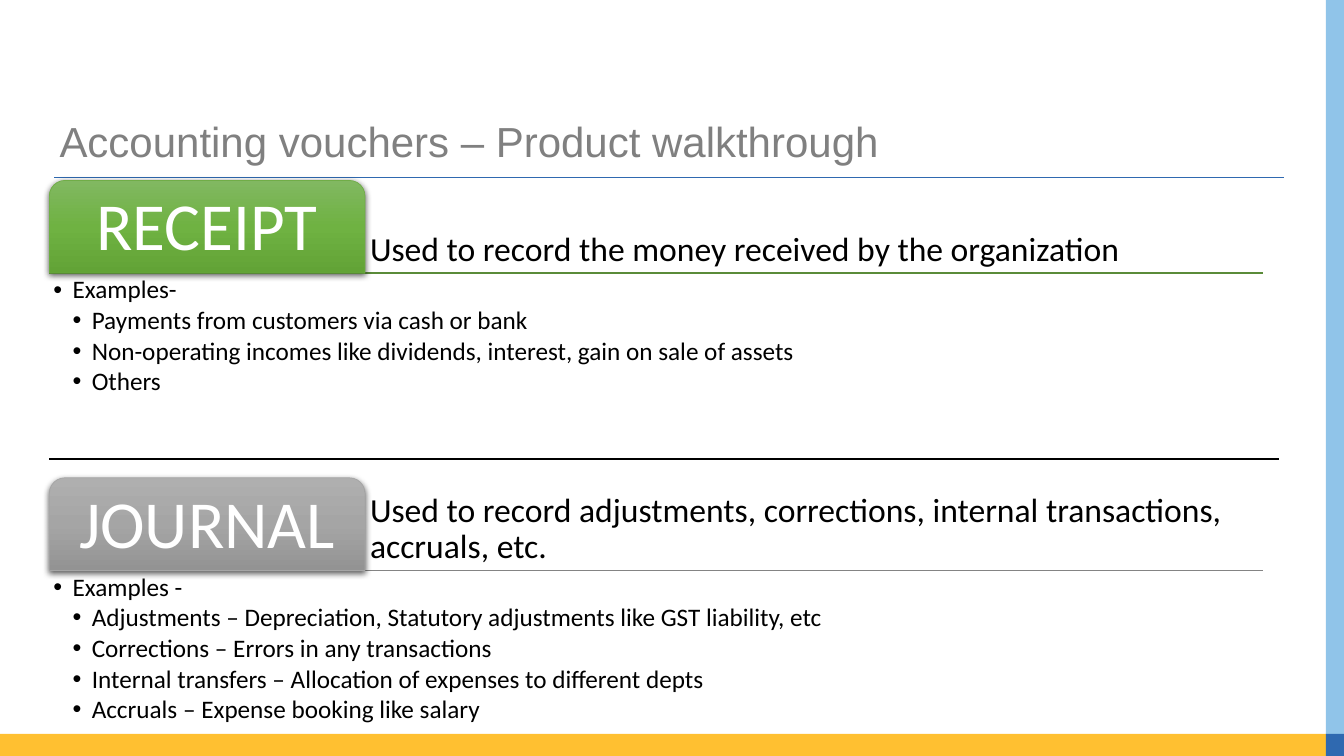
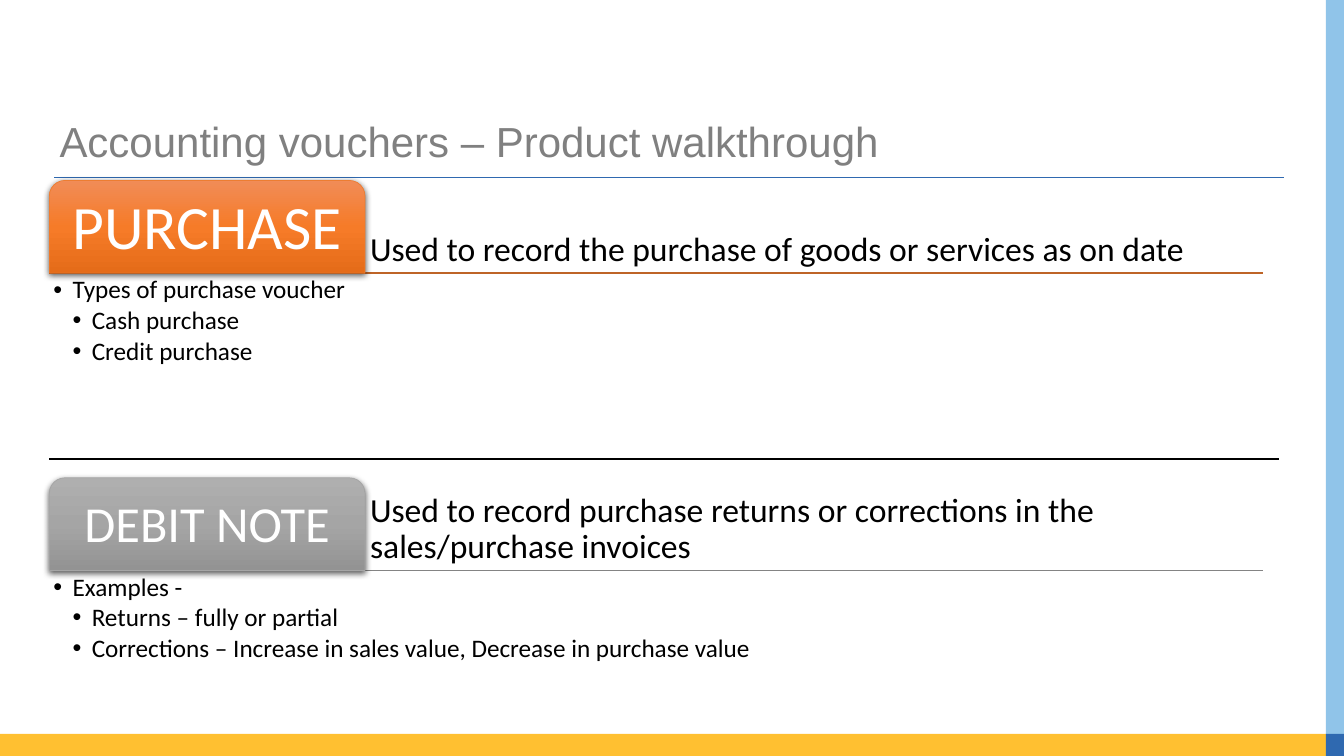
import copy

import pptx
import pptx.dml.color
import pptx.enum.shapes
import pptx.enum.text
import pptx.oxml
import pptx.oxml.ns
import pptx.util
from pptx.util import Inches

Pt = pptx.util.Pt
ANCHOR = pptx.enum.text.MSO_ANCHOR
ALIGN = pptx.enum.text.PP_ALIGN
SHAPE = pptx.enum.shapes.MSO_SHAPE

TITLE = "Accounting vouchers – Product walkthrough"
SLIDES = [
    [
        {"name": "RECEIPT", "size": 48, "theme": "green",
         "use": "Used to record the money received by the organization",
         "heading": "Examples-",
         "items": ["Payments from customers via cash or bank",
                   "Non-operating incomes like dividends, interest, gain on sale of assets",
                   "Others"]},
        {"name": "JOURNAL", "size": 48, "theme": "gray",
         "use": "Used to record adjustments, corrections, internal transactions, accruals, etc.",
         "heading": "Examples -",
         "items": ["Adjustments – Depreciation, Statutory adjustments like GST liability, etc",
                   "Corrections – Errors in any transactions",
                   "Internal transfers – Allocation of expenses to different depts",
                   "Accruals – Expense booking like salary"]},
    ],
    [
        {"name": "PURCHASE", "size": 44, "theme": "orange",
         "use": "Used to record the purchase of goods or services as on date",
         "heading": "Types of purchase voucher",
         "items": ["Cash purchase", "Credit purchase"]},
        {"name": "DEBIT NOTE", "size": 36, "theme": "gray",
         "use": "Used to record purchase returns or corrections in the sales/purchase invoices",
         "heading": "Examples -",
         "items": ["Returns – fully or partial",
                   "Corrections – Increase in sales value, Decrease in purchase value"]},
    ],
]

COLORS = {"title": "808080", "text": "000000", "tab_text": "FFFFFF", "blue": "2F69B0",
          "yellow": "FFC031", "sky": "90C4E9", "divider": "000000"}
THEMES = {
    "green": {"stops": ["81B861", "6FB242", "62A336"], "edge": "70AD47", "rule": "5A8B39"},
    "orange": {"stops": ["F18C57", "F67B28", "E56C19"], "edge": "ED7D31", "rule": "BE6427"},
    "gray": {"stops": ["AFAFAF", "A5A5A5", "939393"], "edge": "A5A5A5", "rule": "848484"},
}

WIDTH, HEIGHT = 13.33, 7.5
LEFT, CONTENT_WIDTH = 0.49, 12.04
TAB_WIDTH, TAB_HEIGHT = 3.13, 0.92
SECTION_TOPS = [1.79, 4.74]
LIST_HEIGHTS = [1.59, 1.84]
BAND_TOP, BAND_LEFT = 7.28, 13.15
BANDS = [
    ("yellow", 0, BAND_TOP, BAND_LEFT, HEIGHT - BAND_TOP),
    ("sky", BAND_LEFT, 0, WIDTH - BAND_LEFT, BAND_TOP),
    ("blue", BAND_LEFT, BAND_TOP, WIDTH - BAND_LEFT, HEIGHT - BAND_TOP),
]
SHADOW = (
    f'<a:outerShdw {pptx.oxml.ns.nsdecls("a")} blurRad="57150" dist="19050" '
    'dir="5400000" algn="ctr" rotWithShape="0">'
    '<a:srgbClr val="000000"><a:alpha val="63000"/></a:srgbClr></a:outerShdw>'
)


def rgb(value):
    return pptx.dml.color.RGBColor.from_string(value)


def place(shape, left, top, width, height):
    shape.left, shape.top = Inches(left), Inches(top)
    shape.width, shape.height = Inches(width), Inches(height)


def set_frame(frame, inset, anchor):
    frame.word_wrap = True
    frame.auto_size = pptx.enum.text.MSO_AUTO_SIZE.NONE
    frame.vertical_anchor = anchor
    frame.margin_left = frame.margin_right = Inches(inset)
    frame.margin_top = frame.margin_bottom = Inches(inset)


def write(paragraph, text, size, color, font="Calibri", align=ALIGN.LEFT):
    paragraph.alignment = align
    paragraph.line_spacing = 0.9
    paragraph.space_before = Pt(0)
    run = paragraph.add_run()
    run.text = text
    run.font.name = font
    run.font.size = Pt(size)
    run.font.color.rgb = rgb(color)


def add_rule(slide, left, right, y, color, weight):
    rule = slide.shapes.add_connector(
        pptx.enum.shapes.MSO_CONNECTOR.STRAIGHT,
        Inches(left), Inches(y), Inches(right), Inches(y))
    rule.line.color.rgb = rgb(color)
    rule.line.width = Pt(weight)
    pptx.oxml.ns.qn("a:effectLst")
    rule.element.spPr.append(
        pptx.oxml.parse_xml(f'<a:effectLst {pptx.oxml.ns.nsdecls("a")}/>'))
    return rule


def build_layout(layout, slide):
    place(layout.placeholders.get(idx=0), LEFT, 1.18, 12.2, 0.5)
    for index, (top, height) in enumerate(zip(SECTION_TOPS, LIST_HEIGHTS), 1):
        place(layout.placeholders.get(idx=index), LEFT, top + TAB_HEIGHT, CONTENT_WIDTH, height)
    shared = [add_rule(slide, 0.54, 12.73, 1.76, COLORS["blue"], 0.82)]
    for color, *box in BANDS:
        band = slide.shapes.add_shape(SHAPE.RECTANGLE, *map(Inches, box))
        band.shadow.inherit = False
        band.fill.solid()
        band.fill.fore_color.rgb = rgb(COLORS[color])
        band.line.fill.background()
        shared.append(band)
    for shape in shared:
        layout.shapes.element.append(shape.element)


def add_tab(slide, voucher, top):
    theme = THEMES[voucher["theme"]]
    tab = slide.shapes.add_shape(SHAPE.ROUND_2_SAME_RECTANGLE, Inches(LEFT), Inches(top),
                                 Inches(TAB_WIDTH), Inches(TAB_HEIGHT))
    tab.fill.gradient()
    tab.fill.gradient_angle = 270
    stop_list = tab.element.spPr.find(".//" + pptx.oxml.ns.qn("a:gsLst"))
    stop_list.insert(1, copy.deepcopy(stop_list[0]))
    for index, (stop, color) in enumerate(zip(tab.fill.gradient_stops, theme["stops"])):
        stop.position = index / 2
        stop.color.rgb = rgb(color)
    tab.line.color.rgb = rgb(theme["edge"])
    tab.line.width = Pt(0.5)
    tab.shadow.inherit = False
    effects = tab.element.spPr.find(pptx.oxml.ns.qn("a:effectLst"))
    effects.append(pptx.oxml.parse_xml(SHADOW))
    set_frame(tab.text_frame, 0.05, ANCHOR.MIDDLE)
    write(tab.text_frame.paragraphs[0], voucher["name"], voucher["size"],
          COLORS["tab_text"], align=ALIGN.CENTER)


def fill_list(frame, voucher):
    set_frame(frame, 0.04, ANCHOR.TOP)
    lines = [(0, voucher["heading"])] + [(1, item) for item in voucher["items"]]
    for index, (level, text) in enumerate(lines):
        paragraph = frame.add_paragraph() if index else frame.paragraphs[0]
        paragraph.level = level
        properties = paragraph._p.get_or_add_pPr()
        properties.set("marL", str(Inches(0.19 * (level + 1))))
        properties.set("indent", str(Inches(-0.19)))
        properties.append(pptx.oxml.parse_xml(
            f'<a:buChar {pptx.oxml.ns.nsdecls("a")} char="•"/>'))
        paragraph.space_after = Pt(2.4)
        write(paragraph, text, 18, COLORS["text"])


def add_section(slide, voucher, top, placeholder):
    bottom = top + TAB_HEIGHT
    right = LEFT + CONTENT_WIDTH
    add_rule(slide, LEFT, right, bottom, THEMES[voucher["theme"]]["rule"], 1)
    use = slide.shapes.add_textbox(Inches(LEFT + TAB_WIDTH), Inches(top),
                                   Inches(CONTENT_WIDTH - TAB_WIDTH), Inches(TAB_HEIGHT))
    set_frame(use.text_frame, 0.05, ANCHOR.BOTTOM)
    write(use.text_frame.paragraphs[0], voucher["use"], 24, COLORS["text"])
    add_tab(slide, voucher, top)
    fill_list(placeholder.text_frame, voucher)


def main():
    presentation = pptx.Presentation()
    presentation.slide_width = Inches(WIDTH)
    presentation.slide_height = Inches(HEIGHT)
    layout = presentation.slide_layouts[3]
    slides = [presentation.slides.add_slide(layout) for vouchers in SLIDES]
    build_layout(layout, slides[0])
    for slide, vouchers in zip(slides, SLIDES):
        title = slide.shapes.title.text_frame
        title.vertical_anchor = ANCHOR.MIDDLE
        write(title.paragraphs[0], TITLE, 30, COLORS["title"], "Arial")
        for index, (voucher, top) in enumerate(zip(vouchers, SECTION_TOPS), 1):
            add_section(slide, voucher, top, slide.placeholders[index])
        add_rule(slide, LEFT, 12.69, 4.55, COLORS["divider"], 1.5)
    presentation.save("out.pptx")


if __name__ == "__main__":
    main()
